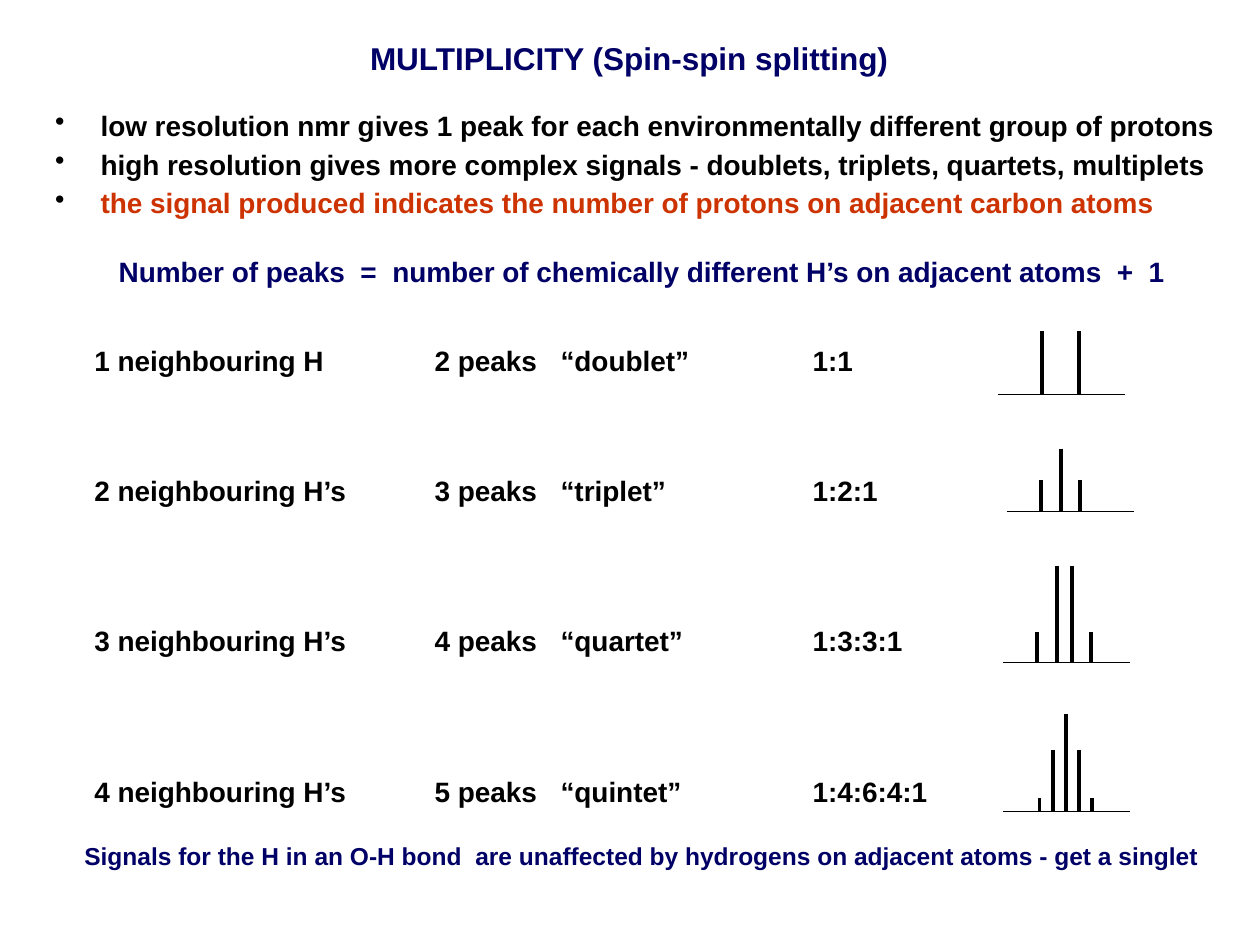
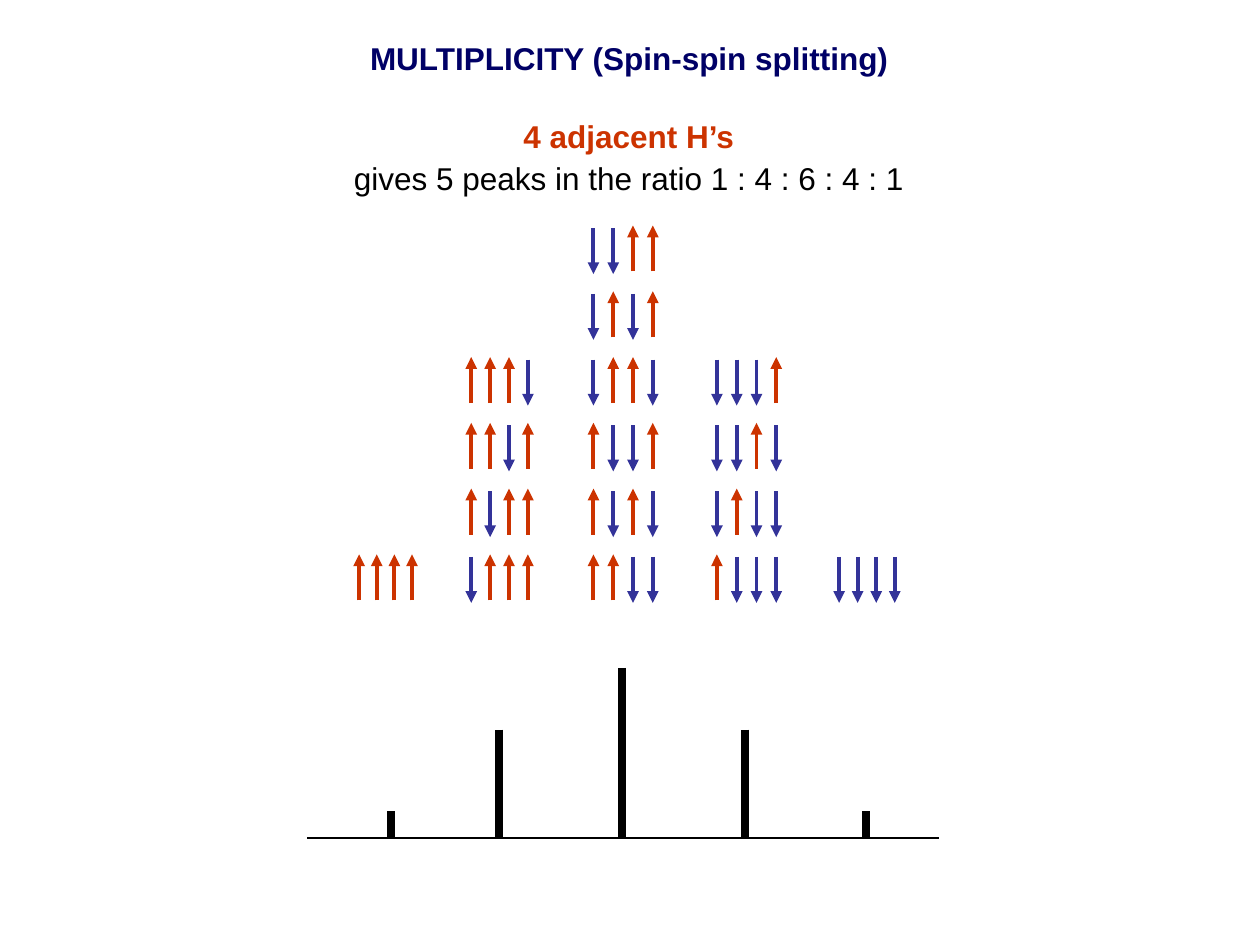
from itertools import combinations

from lxml import etree
from pptx import Presentation
from pptx import util as u
from pptx.dml.color import RGBColor
from pptx.enum import shapes, text
from pptx.oxml.ns import qn

NAVY = RGBColor(0x00, 0x00, 0x66)
RED = RGBColor(0xCC, 0x33, 0x00)
BLUE = RGBColor(0x33, 0x33, 0x99)
BLACK = RGBColor(0x00, 0x00, 0x00)
FONT = "Arial"
TITLE = "MULTIPLICITY (Spin-spin splitting)"
LEFT, CENTER = text.PP_ALIGN.LEFT, text.PP_ALIGN.CENTER

prs = Presentation()
prs.slide_width, prs.slide_height = u.Inches(10), u.Inches(7.5)

# Grid of 100 columns by 75 rows
COL = prs.slide_width / 100
ROW = prs.slide_height / 75


def add_text(slide, col, row, cols, rows, lines, size, align=CENTER, after=0):
    """Add a text box; each line is (text, colour, bold, space before)."""
    sp = slide.shapes.add_textbox(int(col * COL), int(row * ROW),
                                  int(cols * COL), int(rows * ROW))
    tf = sp.text_frame
    tf.word_wrap = True
    for i, (words, color, bold, before) in enumerate(lines):
        p = tf.paragraphs[0] if i == 0 else tf.add_paragraph()
        p.text = words
        p.alignment = align
        p.space_before, p.space_after = u.Pt(before), u.Pt(after)
        p.font.name, p.font.size, p.font.bold = FONT, u.Pt(size), bold
        p.font.color.rgb = color
    return tf


def add_line(slide, x1, y1, x2, y2, width, color=BLACK, arrow=False):
    """Add a straight line between two grid points."""
    cx = slide.shapes.add_connector(shapes.MSO_CONNECTOR.STRAIGHT,
                                    int(x1 * COL), int(y1 * ROW),
                                    int(x2 * COL), int(y2 * ROW))
    cx.line.width = u.Pt(width)
    cx.line.color.rgb = color
    if arrow:
        etree.SubElement(cx.line._get_or_add_ln(), qn("a:tailEnd"), type="triangle")
    etree.SubElement(cx._element.spPr, qn("a:effectLst"))


# Both slides share the title
rules, ratio = [prs.slides.add_slide(prs.slide_layouts[6]) for _ in range(2)]
for s in (rules, ratio):
    add_text(s, 15.8, 2.6, 68.3, 4, [(TITLE, NAVY, True, 0)], 18)

# Slide 1: bullets
tf = add_text(rules, 3.4, 8.1, 95, 9.6, [
    ("low resolution nmr gives 1 peak for each environmentally different group of protons",
     BLACK, True, 0),
    ("high resolution gives more complex signals - doublets, triplets, quartets, multiplets",
     BLACK, True, 0),
    ("the signal produced indicates the number of protons on adjacent carbon atoms",
     RED, True, 0)], 16, LEFT, after=3)
for p in tf.paragraphs:
    pPr = p._p.get_or_add_pPr()
    pPr.set("marL", str(int(3.6 * COL)))
    pPr.set("indent", str(int(-3.6 * COL)))
    bullet = [etree.Element(qn("a:buClr")), etree.Element(qn("a:buChar"), char="•")]
    etree.SubElement(bullet[0], qn("a:srgbClr"), val=str(BLACK))
    for el in bullet:
        pPr.find(qn("a:defRPr")).addprevious(el)

# Slide 1: rule, tabbed rows and closing remark
tf = add_text(rules, 3.5, 19.7, 94.9, 49.4, [
    ("Number of peaks  =  number of chemically different H’s on adjacent atoms  +  1",
     NAVY, True, 0),
    ("\t1 neighbouring H\t2 peaks\t“doublet”\t1:1", BLACK, True, 32),
    ("\t2 neighbouring H’s\t3 peaks\t“triplet”\t1:2:1", BLACK, True, 54.7),
    ("\t3 neighbouring H’s\t4 peaks\t“quartet”\t1:3:3:1", BLACK, True, 66.8),
    ("\t4 neighbouring H’s\t5 peaks\t“quintet”\t1:4:6:4:1", BLACK, True, 67),
    ("Signals for the H in an O-H bond  are unaffected by hydrogens on adjacent atoms"
     " - get a singlet", NAVY, True, 18.5)], 16)
for p in tf.paragraphs[1:-1]:
    p.alignment = LEFT
    tabs = etree.Element(qn("a:tabLst"))
    for stop in (3, 30, 40, 60):
        etree.SubElement(tabs, qn("a:tab"), pos=str(int(stop * COL)), algn="l")
    p._p.pPr.find(qn("a:defRPr")).addprevious(tabs)
tf.paragraphs[-1].font.size = u.Pt(14)

# Slide 1: small spectra as left end, baseline and (column, height) of each peak
spectra = [
    (79.2, 31.3, [(82.7, 5), (85.6, 5)]),
    (79.9, 40.6, [(82.6, 2.5), (84.2, 5), (85.7, 2.5)]),
    (79.6, 52.6, [(82.3, 2.4), (83.9, 7.7), (85.1, 7.7), (86.6, 2.4)]),
    (79.6, 64.4, [(82.5, 1.1), (83.6, 4.9), (84.6, 7.7), (85.6, 4.9), (86.7, 1.1)]),
]
for left, base, peaks in spectra:
    add_line(rules, left, base, left + 10.1, base, 0.75)
    for x, height in peaks:
        add_line(rules, x, base - height, x, base, 2.25)

# Slide 2: heading
add_text(ratio, 6.3, 8.8, 87.2, 10.6, [
    ("4 adjacent H’s", RED, True, 0),
    ("gives 5 peaks in the ratio 1 : 4 : 6 : 4 : 1", BLACK, False, 0)], 18, after=2.5)

# Slide 2: every arrangement of four spins, stacked by the number pointing up
SPINS, BOTTOM, STEP, LENGTH = 4, 44.2, 5.22, 3.65
stacks = [(4, 28.5, 1.4), (3, 37.4, 1.5), (2, 47.1, 1.57), (1, 56.9, 1.57), (0, 66.6, 1.47)]
for ups, left, gap in stacks:
    minority = min(ups, SPINS - ups)
    for level, odd in enumerate(combinations(range(SPINS), minority)):
        top = BOTTOM - level * STEP
        for i in range(SPINS):
            x = left + i * gap
            if (i in odd) == (ups == minority):
                add_line(ratio, x, top + LENGTH - 0.2, x, top - 0.2, 2.25, RED, True)
            else:
                add_line(ratio, x, top, x, top + LENGTH, 2.25, BLUE, True)

# Slide 2: resulting spectrum
BASE = 66.5
add_line(ratio, 24.4, BASE, 74.5, BASE, 1.5)
for x, height in [(31, 2.1), (39.6, 8.6), (49.4, 13.5), (59.1, 8.6), (68.7, 2.1)]:
    add_line(ratio, x, BASE - height, x, BASE, 4.5)

prs.save("out.pptx")
